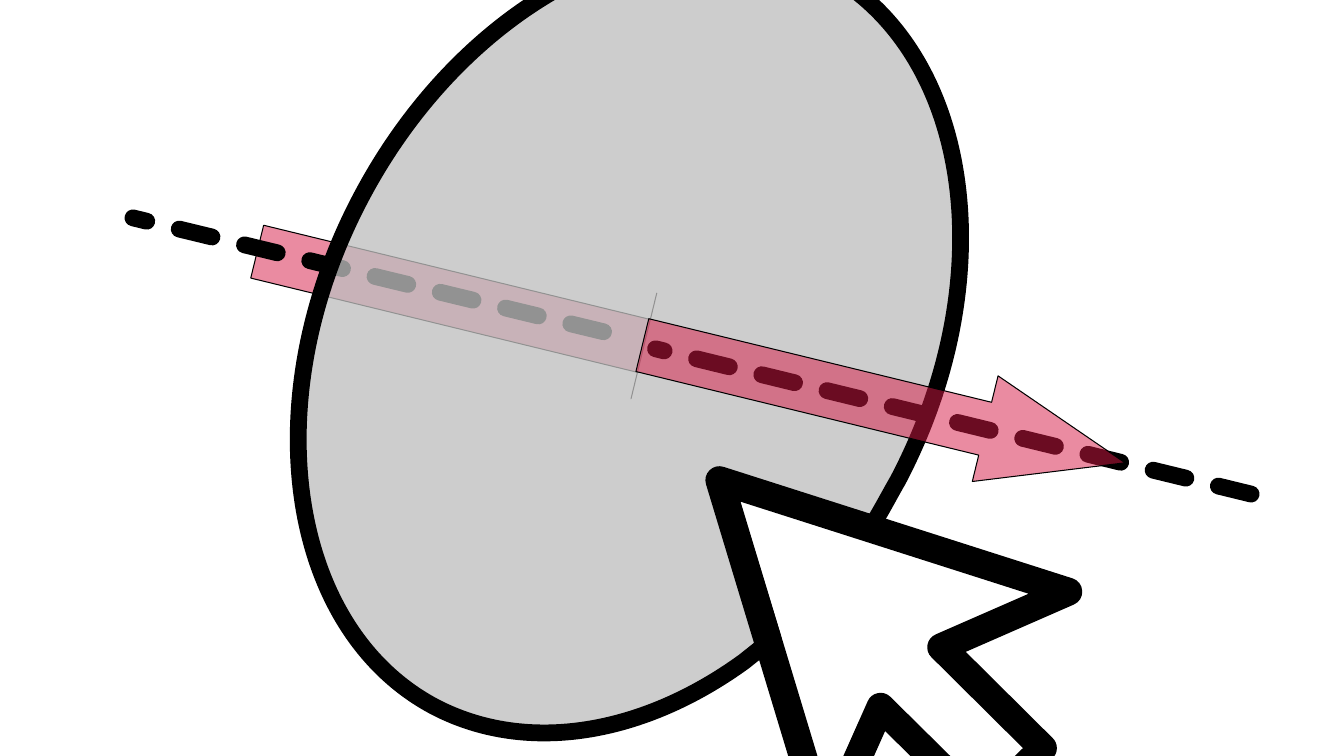
import math
import pptx
import pptx.dml.color
import pptx.enum.shapes
import pptx.oxml.ns
import pptx.util
from lxml import etree

Cm = pptx.util.Cm
Pt = pptx.util.Pt
qn = pptx.oxml.ns.qn
KIND = pptx.enum.shapes.MSO_SHAPE
LINK = pptx.enum.shapes.MSO_CONNECTOR

HUES = {"ink": "000000", "rose": "D71945", "grey": "BFBFBF"}
TILT = 13.7


def paint(item, width, hue=None, alpha=100, dash=False):
    """Set outline and fill; without a hue the fill is left alone."""
    item.line.color.rgb = pptx.dml.color.RGBColor.from_string(HUES["ink"])
    item.line.width = Pt(width)
    frame = item.element.spPr
    edge = frame.find(qn("a:ln"))
    if dash:
        edge.set("cap", "rnd")
        etree.SubElement(edge, qn("a:prstDash"), val="sysDash")
    etree.SubElement(edge, qn("a:round"))
    etree.SubElement(frame, qn("a:effectLst"))
    if hue:
        item.fill.solid()
        item.fill.fore_color.rgb = pptx.dml.color.RGBColor.from_string(HUES[hue])
        tone = frame.find(qn("a:solidFill"))[0]
        etree.SubElement(tone, qn("a:alpha"), val=str(alpha * 1000))


def trace(parts, hub, spin):
    """Draw a closed outline, given as it looks once turned by spin about hub.

    A part of three points is a curve, a part of one point a straight edge.
    """
    cos, sin = math.cos(math.radians(spin)), math.sin(math.radians(spin))
    spots = []
    for x, y in [spot for part in parts for spot in part]:
        dx, dy = x - hub[0], y - hub[1]
        spots.append((Cm(hub[0] + dx * cos + dy * sin), Cm(hub[1] - dx * sin + dy * cos)))
    pen = shapes.build_freeform(*spots[0])
    pen.add_line_segments(spots[1:], close=True)
    item = pen.convert_to_shape()
    item.rotation = spin
    edges = iter(list(item.element.spPr.iter(qn("a:lnTo"))))
    for part in parts[1:]:
        group = [next(edges) for _ in part]
        if len(group) == 3:
            curve = etree.Element(qn("a:cubicBezTo"))
            group[0].addprevious(curve)
            for edge in group:
                curve.append(edge[0])
                edge.getparent().remove(edge)
    return item


deck = pptx.Presentation()
deck.slide_width = Cm(33.87)
deck.slide_height = Cm(19.05)
slide = deck.slides.add_slide(deck.slide_layouts[6])
shapes = slide.shapes

# The axis runs behind the disc, then in front of it
# Each half: arrow left, top, width and head length, dashed line ends
rear = (6.34, 6.16, 10.03, 0, (15.21, 8.36, 3.35, 5.49))
front = (16.01, 8.81, 12.52, 1.324, (31.53, 12.45, 16.52, 8.79))

disc = [
    [(18.14, -1.42)],
    [(19.05, -1.4), (19.94, -1.19), (20.75, -0.76)],
    [(24.49, 1.22), (25.32, 6.96), (22.63, 12.09)],
    [(22.45, 12.4), (22.28, 12.73), (22.1, 13.03)],
    [(21.84, 13.39)],
    [(18.31, 12.27)],
    [(19.48, 16.08)],
    [(18.75, 16.66)],
    [(16.23, 18.49), (13.31, 19.02), (10.97, 17.81)],
    [(7.24, 15.85), (6.4, 10.08), (9.09, 4.98)],
    [(11.2, 0.97), (14.86, -1.47), (18.14, -1.42)],
]

for half in (rear, front):
    left, top, width, head, ends = half
    if half is front:
        paint(trace(disc, (15.88, 8.53), 27.8), 12, "grey", 77)
        axis = shapes.add_connector(LINK.STRAIGHT, *map(Cm, ends))
        paint(axis, 12, dash=True)
    arrow = shapes.add_shape(KIND.RIGHT_ARROW, Cm(left), Cm(top), Cm(width), Cm(2.74))
    arrow.rotation = TILT
    arrow.adjustments[0] = 0.5
    arrow.adjustments[1] = head
    paint(arrow, 0, "rose", 50)
    if half is rear:
        axis = shapes.add_connector(LINK.STRAIGHT, *map(Cm, ends))
        paint(axis, 12, dash=True)

# Mouse pointer, open inside
tips = [
    (24.74, 20.32), (22.17, 17.78), (20.78, 20.9), (18.11, 12.07),
    (26.9, 14.88), (23.7, 16.28), (26.26, 18.82), (24.74, 20.32),
]
mouse = trace([[tip] for tip in tips], (21.81, 15.84), 225.5)
mouse.fill.background()
paint(mouse, 20)

deck.save("out.pptx")
